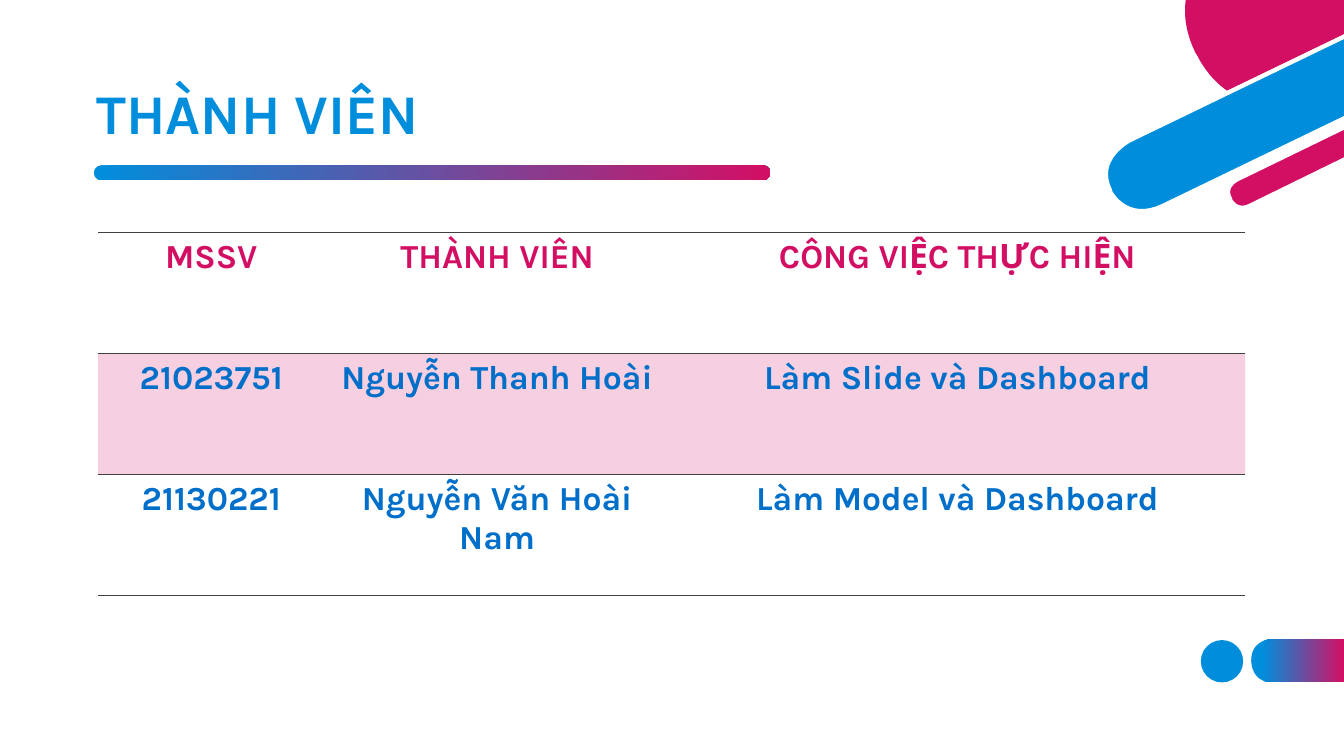
import pptx
import pptx.util
import pptx.dml.color
import pptx.enum.shapes
import pptx.enum.text
import pptx.oxml
import pptx.oxml.ns
from lxml import etree

Inches, Pt = pptx.util.Inches, pptx.util.Pt
MSO = pptx.enum.shapes.MSO_SHAPE
PP_ALIGN = pptx.enum.text.PP_ALIGN
ANCHOR = pptx.enum.text.MSO_ANCHOR
qn = pptx.oxml.ns.qn

COLORS = {"blue": "008EDC", "text": "006FC9", "pink": "D30F64",
          "white": "FFFFFF", "rule": "404040"}
PLAIN_TABLE = "{2D5ABB26-0587-4C30-8999-92F81FD0307C}"


def rgb(name):
    return pptx.dml.color.RGBColor.from_string(COLORS[name])


class MemberSlide:
    """Holds the style and the slide, and adds each kind of element."""

    def __init__(self, prs, font="Karla"):
        self.s = prs.slides.add_slide(prs.slide_layouts[5])
        self.font = font

    def style(self, p, size, color, align):
        p.alignment = align
        p.font.name, p.font.size, p.font.bold = self.font, Pt(size), True
        p.font.color.rgb = rgb(color)

    def paint(self, sp, color=None, fade_from=0, edge=None):
        sp.shadow.inherit = False
        if color:
            sp.fill.solid()
            sp.fill.fore_color.rgb = rgb(color)
        else:
            sp.fill.gradient()
            sp.fill.gradient_angle = 0
            ends = (("blue", fade_from), ("pink", 1))
            for stop, (name, position) in zip(sp.fill.gradient_stops, ends):
                stop.color.rgb, stop.position = rgb(name), position
        if edge:
            sp.line.color.rgb, sp.line.width = rgb("white"), Pt(edge)
        else:
            sp.line.fill.background()

    def shape(self, kind, box, **paint):
        sp = self.s.shapes.add_shape(kind, *map(Inches, box))
        if kind == MSO.ROUNDED_RECTANGLE:
            sp.adjustments[0] = 0.5
        self.paint(sp, **paint)

    def outline(self, start, steps, **paint):
        points = [start]
        for step in steps:
            if len(step) == 2:
                points.append(step)
                continue
            x0, y0 = points[-1]
            x1, y1, x2, y2, x3, y3 = step
            for i in range(1, 17):
                t = i / 16
                u = 1 - t
                a, b, c, d = u**3, 3 * u * u * t, 3 * u * t * t, t**3
                points.append((a * x0 + b * x1 + c * x2 + d * x3,
                               a * y0 + b * y1 + c * y2 + d * y3))
        emu = [(Inches(x), Inches(y)) for x, y in points]
        builder = self.s.shapes.build_freeform(*emu[0], scale=1.0)
        builder.add_line_segments(emu[1:], close=True)
        self.paint(builder.convert_to_shape(), **paint)

    def title(self, text, box):
        sp = self.s.shapes.title
        sp.left, sp.top, sp.width, sp.height = map(Inches, box)
        tf = sp.text_frame
        tf.vertical_anchor = ANCHOR.MIDDLE
        tf.text = text
        p = tf.paragraphs[0]
        p.line_spacing = 0.9
        self.style(p, 40, "blue", PP_ALIGN.LEFT)

    def rule(self, cell, side):
        tc_pr = cell._tc.get_or_add_tcPr()
        ln = etree.Element(qn("a:" + side), w=str(Pt(0.75)))
        fill = etree.SubElement(ln, qn("a:solidFill"))
        etree.SubElement(fill, qn("a:srgbClr"), val=COLORS["rule"])
        tc_pr.insert(0, ln)

    def table(self, rows, widths, box):
        frame = self.s.shapes.add_table(len(rows), len(widths), *map(Inches, box))
        table = frame.table
        table.horz_banding = False
        next(frame._element.iter(qn("a:tableStyleId"))).text = PLAIN_TABLE
        for column, width in zip(table.columns, widths):
            column.width = Inches(width)
        for i, row in enumerate(rows):
            for j, text in enumerate(row):
                cell = table.cell(i, j)
                cell.text = text
                color = "text" if i else "pink"
                self.style(cell.text_frame.paragraphs[0], 24, color, PP_ALIGN.CENTER)
                if i == 1:
                    cell.fill.solid()
                    cell.fill.fore_color.rgb = rgb("pink")
                    clr = next(cell._tc.tcPr.iter(qn("a:srgbClr")))
                    etree.SubElement(clr, qn("a:alpha"), val="20000")
                    self.rule(cell, "lnT")
                else:
                    cell.fill.background()
                    self.rule(cell, "lnB")
                if i == 0:
                    self.rule(cell, "lnT")


def main():
    prs = pptx.Presentation()
    prs.slide_width, prs.slide_height = Inches(13.33), Inches(7.5)
    s = MemberSlide(prs)

    s.shape(MSO.OVAL, (11.91, 6.35, 0.42, 0.42), color="blue")
    s.outline((12.62, 6.77), [(13.33, 6.77), (13.33, 6.34), (12.62, 6.34),
                              (12.62, 6.34, 12.41, 6.34, 12.41, 6.55), (12.41, 6.56),
                              (12.41, 6.56, 12.41, 6.77, 12.62, 6.77)], fade_from=0.12)
    s.outline((11.88, 0.56), [(11.88, 0.56, 11.97, 0.76, 12.17, 0.9), (13.33, 0.34),
                              (13.33, 0), (11.76, 0),
                              (11.74, 0.15, 11.76, 0.33, 11.86, 0.53)], color="pink")
    s.outline((11.21, 1.39), [(11.21, 1.39, 10.85, 1.57, 11.01, 1.89), (11.01, 1.9),
                              (11.01, 1.9, 11.17, 2.22, 11.54, 2.04),
                              (13.36, 1.16), (13.36, 0.35)], color="blue", edge=3)
    s.outline((13.36, 1.25), [(12.27, 1.78), (12.27, 1.78, 12.13, 1.85, 12.2, 1.97),
                              (12.2, 1.98), (12.2, 1.98, 12.26, 2.11, 12.4, 2.04),
                              (13.36, 1.57)], color="pink", edge=3)
    s.shape(MSO.ROUNDED_RECTANGLE, (0.93, 1.64, 6.71, 0.15))

    s.title("THÀNH VIÊN", (0.86, 0.8, 11.07, 0.71))
    s.table([("MSSV", "THÀNH VIÊN", "CÔNG VIỆC THỰC HIỆN"),
             ("21023751", "Nguyễn Thanh Hoài", "Làm Slide và Dashboard"),
             ("21130221", "Nguyễn Văn Hoài Nam", "Làm Model và Dashboard")],
            (2.25, 3.42, 5.71), (0.97, 2.31, 11.38, 3.6))
    prs.save("out.pptx")


if __name__ == "__main__":
    main()
